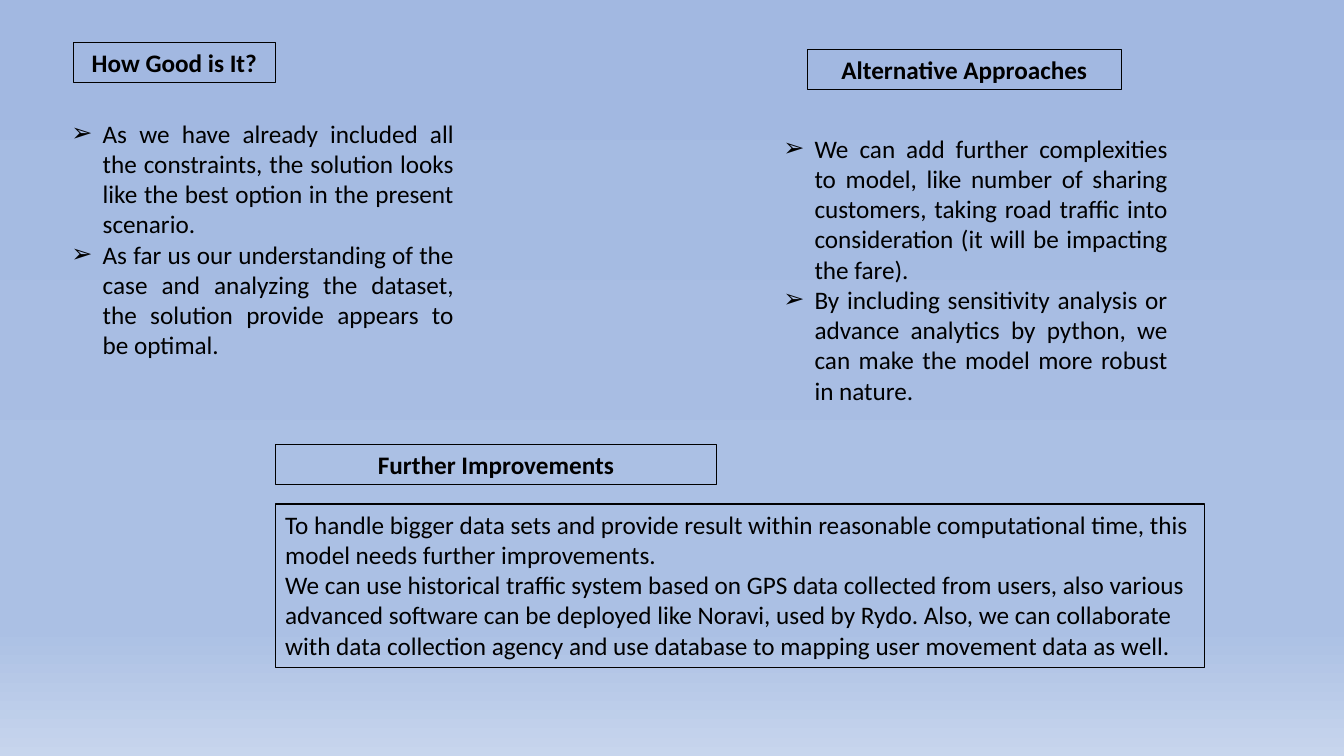
from lxml import etree
from pptx import Presentation
from pptx.dml.color import RGBColor
from pptx.enum.text import MSO_AUTO_SIZE, PP_ALIGN
from pptx.oxml.ns import qn
from pptx.util import Inches, Pt

CENTER, JUSTIFY, LEFT = PP_ALIGN.CENTER, PP_ALIGN.JUSTIFY, PP_ALIGN.LEFT
GROW = MSO_AUTO_SIZE.SHAPE_TO_FIT_TEXT

WIDTH, HEIGHT = 13.33, 7.5
HEADING_HEIGHT = 0.4
COLORS = {"text": "000000", "line": "000000",
          "sky": "A2B8E1", "middle": "ABC0E4", "horizon": "C7D5ED"}
BACKGROUND_STOPS = [(0, "sky"), (74, "middle"), (83, "middle"), (100, "horizon")]
BODY_FORMAT = {"name": "Calibri", "size": Pt(18), "bold": False}
HEADING_FORMAT = {**BODY_FORMAT, "bold": True}

GOOD_POINTS = [
    "As we have already included all the constraints, the solution looks like "
    "the best option in the present scenario.",
    "As far us our understanding of the case and analyzing the dataset, the "
    "solution provide appears to be optimal.",
]
ALTERNATIVE_POINTS = [
    "We can add further complexities to model, like number of sharing customers, "
    "taking road traffic into consideration (it will be impacting the fare).",
    "By including sensitivity analysis or advance analytics by python, we can "
    "make the model more robust in nature.",
]
IMPROVEMENTS = [
    "To handle bigger data sets and provide result within reasonable "
    "computational time, this model needs further improvements.",
    "We can use historical traffic system based on GPS data collected from users, "
    "also various advanced software can be deployed like Noravi, used by Rydo. "
    "Also, we can collaborate with data collection agency and use database to "
    "mapping user movement data as well.",
]


def paint_background(page):
    fill = page.background.fill
    fill.gradient()
    fill.gradient_angle = 270
    stops = page.element.find(".//" + qn("a:gsLst"))
    for stop in list(stops):
        stops.remove(stop)
    for percent, color in BACKGROUND_STOPS:
        stop = etree.SubElement(stops, qn("a:gs"), pos=str(percent * 1000))
        etree.SubElement(stop, qn("a:srgbClr"), val=COLORS[color])


def add_arrow_bullet(para):
    properties = para._p.get_or_add_pPr()
    indent = Inches(0.31)
    properties.set("marL", str(indent))
    properties.set("indent", str(-indent))
    etree.SubElement(properties, qn("a:buFont"), typeface="Arial")
    etree.SubElement(properties, qn("a:buChar"), char="➢")


def add_text(page, box, lines, text_format, align, framed=False, bulleted=False):
    """Place one paragraph per line in box, given as left, top, width, height."""
    shape = page.shapes.add_textbox(*(Inches(length) for length in box))
    if framed:
        shape.line.color.rgb = RGBColor.from_string(COLORS["line"])
        shape.line.width = Pt(0.75)
    frame = shape.text_frame
    frame.word_wrap = True
    frame.auto_size = GROW
    for number, line in enumerate(lines):
        para = frame.add_paragraph() if number else frame.paragraphs[0]
        para.alignment = align
        if bulleted:
            add_arrow_bullet(para)
        span = para.add_run()
        span.text = line
        for name, value in text_format.items():
            setattr(span.font, name, value)
        span.font.color.rgb = RGBColor.from_string(COLORS["text"])


def add_heading(page, left, top, width, title):
    add_text(page, (left, top, width, HEADING_HEIGHT), [title],
             HEADING_FORMAT, CENTER, framed=True)


def add_bullet_column(page, box, title, heading_offset, heading_width, drop, points):
    """Place a heading at the top of box, shifted right, and points drop below it."""
    left, top, width, height = box
    add_heading(page, left + heading_offset, top, heading_width, title)
    add_text(page, (left, top + drop, width, height - drop), points,
             BODY_FORMAT, JUSTIFY, bulleted=True)


def add_improvements(page, box):
    left, top, width, height = box
    drop = HEADING_HEIGHT + 0.19
    add_heading(page, left, top, width * 0.475, "Further Improvements")
    add_text(page, (left, top + drop, width, height - drop), IMPROVEMENTS,
             BODY_FORMAT, LEFT, framed=True)


def main():
    deck = Presentation()
    deck.slide_width, deck.slide_height = Inches(WIDTH), Inches(HEIGHT)
    page = deck.slides.add_slide(deck.slide_layouts[6])
    paint_background(page)
    add_bullet_column(page, (0.61, 0.42, 3.99, 3.22), "How Good is It?",
                      0.12, 2, 0.7, GOOD_POINTS)
    add_bullet_column(page, (7.67, 0.49, 4.01, 3.61), "Alternative Approaches",
                      0.34, 3.11, 0.78, ALTERNATIVE_POINTS)
    add_improvements(page, (2.73, 4.41, 9.22, 2.21))
    deck.save("out.pptx")


if __name__ == "__main__":
    main()
